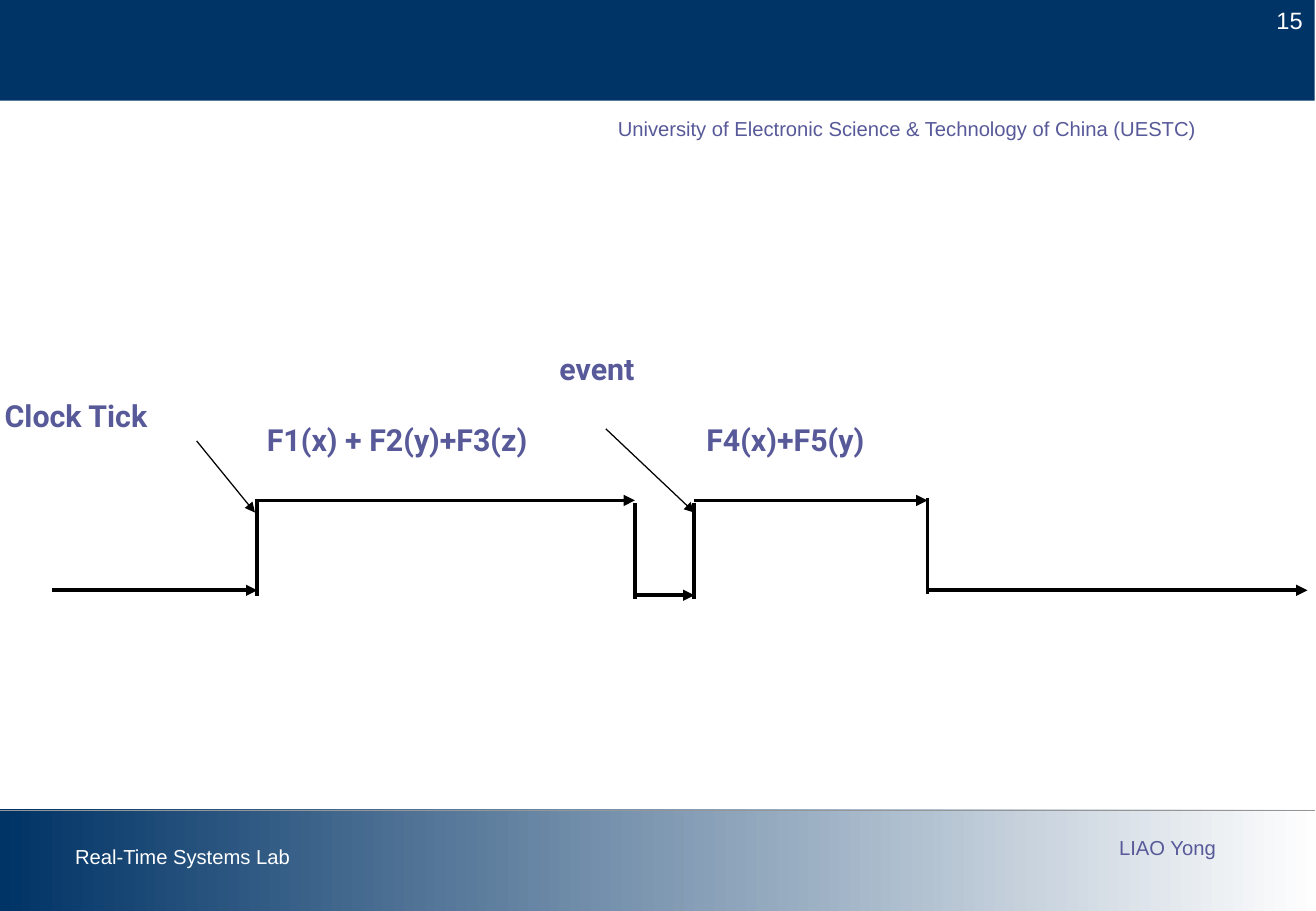
from dataclasses import dataclass
from lxml import etree
from pptx import Presentation
from pptx.dml.color import RGBColor
from pptx.enum.shapes import MSO_CONNECTOR, MSO_SHAPE
from pptx.enum.text import PP_ALIGN
from pptx.oxml.ns import qn
from pptx.util import Inches, Pt

STRAIGHT = MSO_CONNECTOR.STRAIGHT
RECT = MSO_SHAPE.RECTANGLE
LEFT, RIGHT, JUSTIFY = PP_ALIGN.LEFT, PP_ALIGN.RIGHT, PP_ALIGN.JUSTIFY


@dataclass(frozen=True)
class Theme:
    navy: str = "003366"
    pale: str = "FEFEFE"
    white: str = "FFFFFF"
    violet: str = "575999"
    grey: str = "969696"
    black: str = "000000"
    body: str = "Arial"
    label: str = "Roboto"
    small: float = 12
    number: float = 14
    large: float = 18
    thin: float = 0.75
    thick: float = 2.25


theme = Theme()
prs = Presentation()
prs.slide_width, prs.slide_height = Inches(10.84), Inches(7.5)
s = prs.slides.add_slide(prs.slide_layouts[6])


def add_text(text, *, at, size=theme.small, font=theme.body, color=theme.violet,
             bold=False, align=LEFT, wrap=True):
    tf = s.shapes.add_textbox(*map(Inches, at)).text_frame
    tf.word_wrap = wrap
    p = tf.paragraphs[0]
    p.alignment = align
    r = p.add_run()
    r.text = text
    r.font.name, r.font.size, r.font.bold = font, Pt(size), bold
    r.font.color.rgb = RGBColor.from_string(color)


def add_line(x1, y1, x2, y2, *, color=theme.black, width=theme.thick, arrow=False):
    line = s.shapes.add_connector(STRAIGHT, *map(Inches, (x1, y1, x2, y2)))
    line.line.color.rgb = RGBColor.from_string(color)
    line.line.width = Pt(width)
    if arrow:
        etree.SubElement(line.line._get_or_add_ln(), qn("a:tailEnd"), type="triangle")
    etree.SubElement(line._element.spPr, qn("a:effectLst"))


add_line(0, 0.83, 10.83, 0.83, color=theme.white, width=theme.thin)
header = s.shapes.add_shape(RECT, 0, 0, Inches(10.83), Inches(0.83))
header.fill.solid()
header.fill.fore_color.rgb = RGBColor.from_string(theme.navy)
footer = s.shapes.add_shape(RECT, 0, Inches(6.66), Inches(10.84), Inches(0.84))
footer.fill.gradient()
footer.fill.gradient_angle = 180
for stop, position, color in zip(footer.fill.gradient_stops, (0, 1), (theme.pale, theme.navy)):
    stop.position = position
    stop.color.rgb = RGBColor.from_string(color)
for band in (header, footer):
    band.line.fill.background()
    band.shadow.inherit = False
add_line(0, 6.67, 10.83, 6.67, color=theme.grey, width=theme.thin)

add_text("15", at=(10.2, 0, 0.63, 0.33), size=theme.number, color=theme.white, align=RIGHT)
add_text("Real-Time Systems Lab", at=(0.52, 6.9, 2.02, 0.3), color=theme.white, wrap=False)
add_text("LIAO Yong", at=(9.12, 6.83, 1.01, 0.3), wrap=False)
add_text("University of Electronic Science & Technology of China (UESTC)",
         at=(4.99, 0.91, 5.88, 0.3))

tick, idle, event, done = 2.12, 5.23, 5.72, 7.64
high, low, dip = 4.12, 4.86, 4.9
for x1, x2, y in ((0.43, tick, low), (2.1, idle, high), (idle, event, dip),
                  (event, done, high), (done, 10.77, low)):
    add_line(x1, y, x2, y, arrow=True)
for x, top in ((tick, 4.12), (idle, 4.14), (event, 4.14), (done, 4.1)):
    add_line(x, top, x, top + 0.79)
for x1, y1, x2 in ((1.62, 3.63, 2.1), (4.99, 3.53, event)):
    add_line(x1, y1, x2, 4.22, width=theme.thin, arrow=True)

for text, x, y, w in (("Clock Tick", -0.06, 3.22, 2.17), ("event", 4.51, 2.83, 1.45),
                      ("F1(x) + F2(y)+F3(z)", 2.1, 3.42, 3.13),
                      ("F4(x)+F5(y)", event, 3.42, 2.17)):
    add_text(text, at=(x, y, w, 0.59), size=theme.large, font=theme.label,
             bold=True, align=JUSTIFY)

prs.save("out.pptx")
